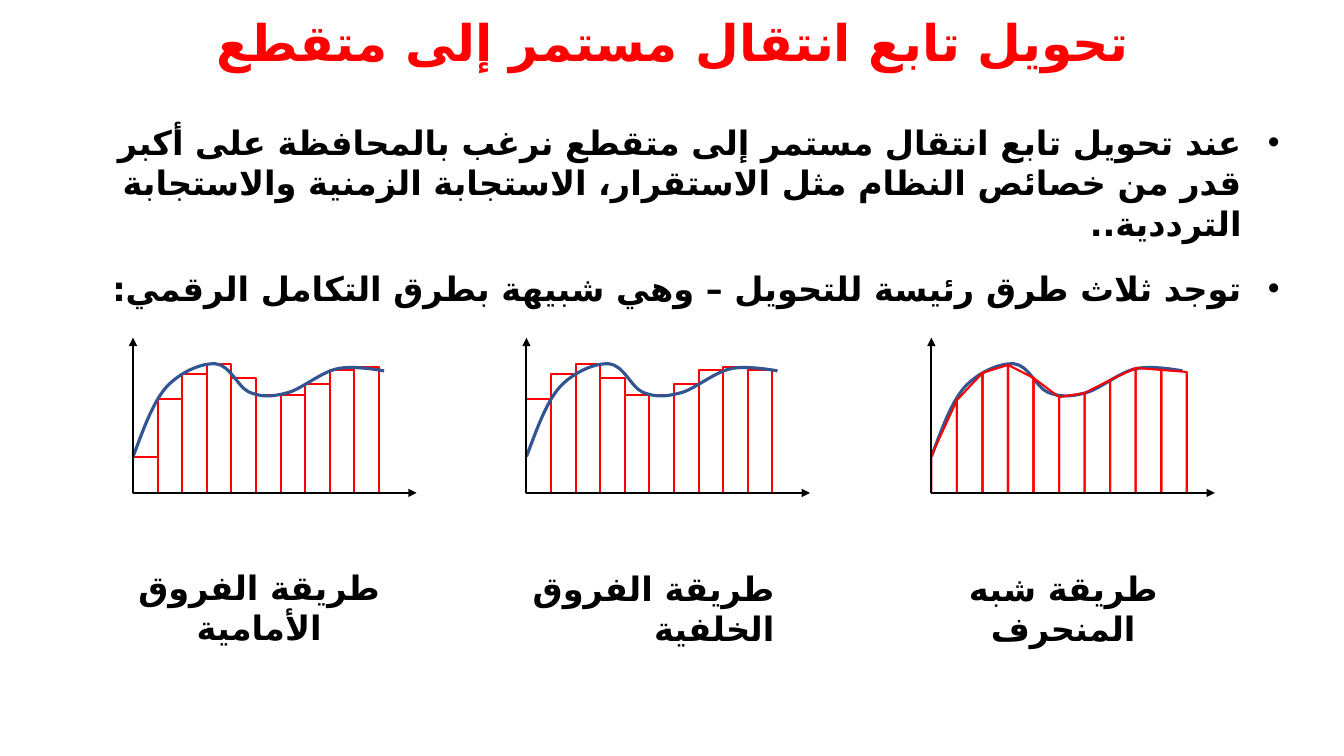
from dataclasses import dataclass
from lxml import etree
from pptx import Presentation, util as u
from pptx.dml.color import RGBColor as RGB
from pptx.enum import shapes as kinds, text as t
from pptx.oxml.ns import qn


@dataclass
class Theme:
    font: str = "Calibri"
    script: str = "DejaVu Sans"  # Arabic letters, which Calibri may lack
    red: RGB = RGB(0xFF, 0, 0)
    blue: RGB = RGB(0x32, 0x54, 0x91)
    black: RGB = RGB(0, 0, 0)
    head: int = 36
    body: int = 24
    thin: float = 1.5
    thick: float = 2.25


look = Theme()
deck = Presentation()
deck.slide_width, deck.slide_height = u.Inches(13.33), u.Inches(7.5)
X, Y = deck.slide_width / 100, deck.slide_height / 100  # one percent of the slide
slide = deck.slides.add_slide(deck.slide_layouts[1])


def write(shape, box, lines, size, color, align, before=0, after=0):
    """Place a text shape and fill it with bold right-to-left paragraphs."""
    left, top, wide, high = box
    shape.left, shape.top = int(left * X), int(top * Y)
    shape.width, shape.height = int(wide * X), int(high * Y)
    frame = shape.text_frame
    frame.text = "\n".join(lines)
    frame.word_wrap = True
    frame.auto_size = t.MSO_AUTO_SIZE.NONE
    for para in frame.paragraphs:
        para.alignment = align
        para.space_before, para.space_after = u.Pt(before), u.Pt(after)
        para._p.get_or_add_pPr().set("rtl", "1")
        for run in para.runs:
            font = run.font
            font.name, font.size, font.bold = look.font, u.Pt(size), True
            font.color.rgb = color
            font._element.set("lang", "ar-SY")
            etree.SubElement(font._element, qn("a:cs"), typeface=look.script)


def trace(group, points, color, width, curved=False):
    """Draw an open line, or a Bezier curve, through points in percent of the slide."""
    spots = [(x * X, y * Y) for x, y in points]
    pen = group.shapes.build_freeform(*spots[0])
    pen.add_line_segments(spots[1:], close=False)
    shape = pen.convert_to_shape()
    shape.shadow.inherit = False
    shape.fill.background()
    shape.line.color.rgb, shape.line.width = color, u.Pt(width)
    if curved:
        route = next(shape._element.iter(qn("a:path")))
        for i, step in enumerate(route.findall(qn("a:lnTo"))):
            if i % 3 == 0:
                bend = etree.SubElement(route, qn("a:cubicBezTo"))
            bend.append(step[0])
            route.remove(step)


# Title and list
RIGHT, MID = t.PP_ALIGN.RIGHT, t.PP_ALIGN.CENTER
title, body = slide.placeholders
write(title, (6.9, 0, 86.27, 11.87), ["تحويل تابع انتقال مستمر إلى متقطع"],
      look.head, look.red, MID)
title.text_frame.paragraphs[0].line_spacing = 0.9
title.text_frame.vertical_anchor = t.MSO_ANCHOR.MIDDLE
write(body, (4.58, 15.47, 91.37, 20.93), [
    "عند تحويل تابع انتقال مستمر إلى متقطع نرغب بالمحافظة على أكبر قدر من خصائص "
    "النظام مثل الاستقرار، الاستجابة الزمنية والاستجابة الترددية..",
    "توجد ثلاث طرق رئيسة للتحويل – وهي شبيهة بطرق التكامل الرقمي:",
], look.body, look.black, RIGHT, after=18)

# Signal as Bezier knots: distance from the axis, height above the base
BASE = 65.2
knots = [(0, 4.8), (0.75, 8.27), (1.43, 11.87), (2.48, 14), (3.53, 16), (5.1, 17.2),
         (6.15, 17.07), (7.2, 16.93), (7.8, 14), (8.63, 13.33), (9.53, 12.67),
         (10.28, 12.67), (11.4, 13.2), (12.45, 13.6), (13.88, 15.87), (15.15, 16.4),
         (16.35, 16.93), (18.68, 16.13), (18.68, 16.13)]

# Samples: bars take one height each, trapezoids join neighbours
bars = [4.8, 12.4, 15.73, 17.07, 15.2, 12.93, 12.93, 14.4, 16.27, 16.67, 16.27]
slopes = [4.93, 12.27, 15.87, 16.93, 15.2, 12.67, 13.2, 14.93, 16.53, 16.27, 16]
BAR, SLOPE = 1.83, 1.9
plots = [
    (9.9, bars[:-1], False, "طريقة الفروق الأمامية", (9.38, 74.27, 19.8, 6.67), MID),
    (39.17, bars[1:], False, "طريقة الفروق الخلفية", (38.4, 74.4, 19.95, 6.67), RIGHT),
    (69.3, slopes, True, "طريقة شبه المنحرف", (69.92, 74.4, 18.38, 6.67), MID),
]

for left, highs, sloped, name, box, align in plots:
    group = slide.shapes.add_group_shape()
    curve = [(left + x, BASE - y) for x, y in knots]

    # Areas under the signal
    if sloped:
        trace(group, curve, look.blue, look.thick, curved=True)
        for i, (a, b) in enumerate(zip(highs, highs[1:])):
            x, end = left + i * SLOPE, left + (i + 1) * SLOPE
            trace(group, [(x, BASE), (x, BASE - a), (end, BASE - b), (end, BASE)],
                  look.red, look.thin)
    else:
        for i, high in enumerate(highs):
            bar = group.shapes.add_shape(
                kinds.MSO_SHAPE.RECTANGLE, int((left + i * BAR) * X),
                int((BASE - high) * Y), int(BAR * X), int(high * Y))
            bar.shadow.inherit = False
            bar.fill.background()
            bar.line.color.rgb, bar.line.width = look.red, u.Pt(look.thin)
        trace(group, curve, look.blue, look.thick, curved=True)

    # Axes
    for x, y in [(left + 21.1, BASE), (left, BASE - 20.53)]:
        axis = group.shapes.add_connector(
            kinds.MSO_CONNECTOR.STRAIGHT, int(left * X), int(BASE * Y), int(x * X), int(y * Y))
        axis.line.color.rgb, axis.line.width = look.black, u.Pt(look.thin)
        etree.SubElement(axis.line._get_or_add_ln(), qn("a:tailEnd"), type="triangle")
        etree.SubElement(axis._element.spPr, qn("a:effectLst"))

    # Caption
    write(slide.shapes.add_textbox(0, 0, 0, 0), box, [name],
          look.body, look.black, align, before=24, after=24)

deck.save("out.pptx")
